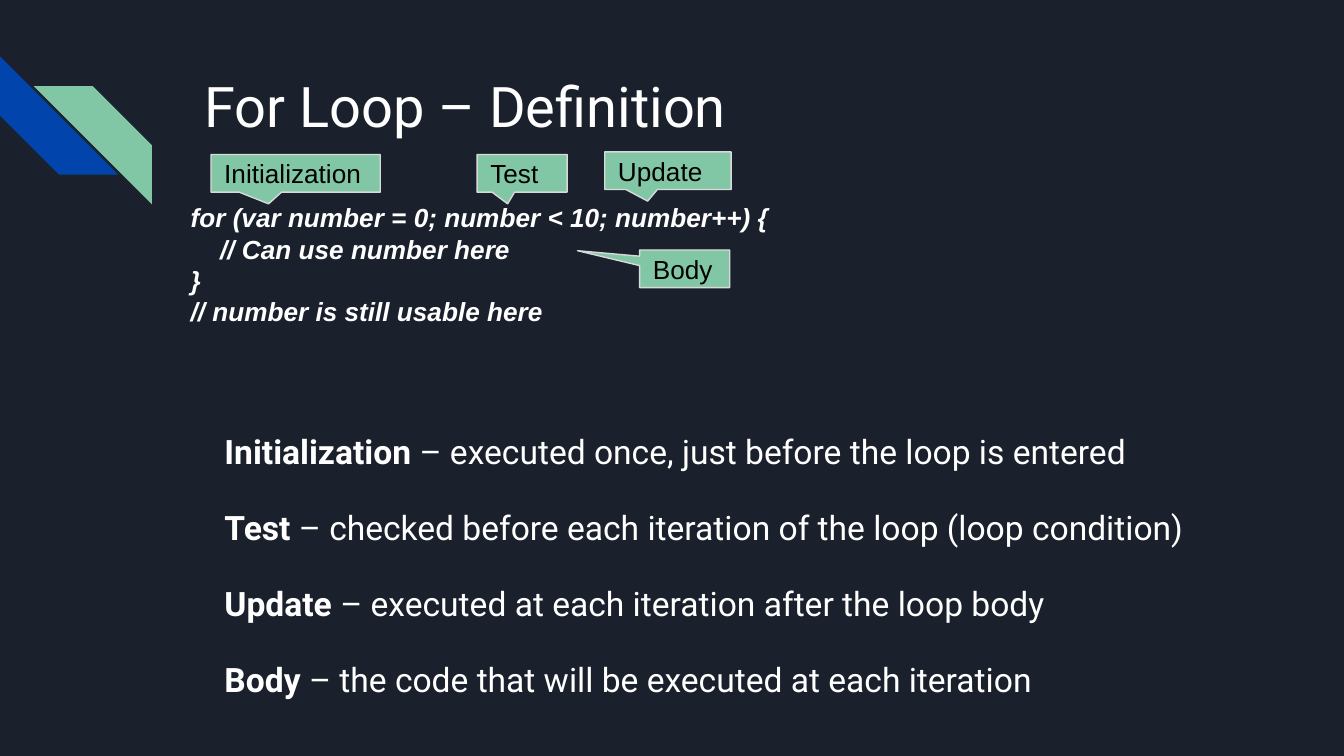
from pptx import Presentation
from pptx.dml.color import RGBColor
from pptx.enum.shapes import MSO_SHAPE
from pptx.enum.text import MSO_ANCHOR, MSO_AUTO_SIZE, PP_ALIGN
from pptx.oxml.ns import qn
from pptx.util import Inches, Pt
from lxml import etree

NAVY = RGBColor(0x1B, 0x21, 0x2C)
BLUE = RGBColor(0x01, 0x45, 0xAC)
GREEN = RGBColor(0x82, 0xC7, 0xA5)
GREY = RGBColor(0xD9, 0xD9, 0xD9)
WHITE = RGBColor(0xFF, 0xFF, 0xFF)
BLACK = RGBColor(0, 0, 0)


def setup_frame(sp, anchor):
    tf = sp.text_frame
    tf.word_wrap = True
    tf.auto_size = MSO_AUTO_SIZE.NONE
    tf.vertical_anchor = anchor
    tf.margin_left = tf.margin_right = Inches(0.1)
    tf.margin_top = tf.margin_bottom = Inches(0.1)
    return tf


def add_run(p, text, font, size, color, bold=False, italic=False):
    p.alignment = PP_ALIGN.LEFT
    r = p.add_run()
    r.text = text
    r.font.name = font
    r.font.size = Pt(size)
    r.font.color.rgb = color
    r.font.bold = bold
    r.font.italic = italic


prs = Presentation()
prs.slide_width = Inches(10)
prs.slide_height = Inches(10) * 9 // 16
s = prs.slides.add_slide(prs.slide_layouts[1])
s.background.fill.solid()
s.background.fill.fore_color.rgb = NAVY

stripes = [(0, 0.42, BLUE, 270, False), (0.25, 0.64, GREEN, 0, True)]
for left, top, color, rotation, flipped in stripes:
    sp = s.shapes.add_shape(MSO_SHAPE.DIAGONAL_STRIPE, Inches(left), Inches(top),
                            Inches(0.88), Inches(0.88))
    sp.adjustments[0] = 0.5
    sp.rotation = rotation
    sp.shadow.inherit = False
    sp.fill.solid()
    sp.fill.fore_color.rgb = color
    sp.line.fill.background()
    if flipped:
        sp._element.spPr.find(qn("a:xfrm")).set("flipH", "1")

title = s.shapes.title
title.left, title.top = Inches(1.42), Inches(0.43)
title.width, title.height = Inches(7.7), Inches(1)
tf = setup_frame(title, MSO_ANCHOR.TOP)
add_run(tf.paragraphs[0], "For Loop – Definition", "Roboto", 30, WHITE)

body = s.placeholders[1]
body.left, body.top = Inches(1.32), Inches(3.06)
body.width, body.height = Inches(8.34), Inches(2.27)
tf = setup_frame(body, MSO_ANCHOR.TOP)
definitions = [
    ("Initialization ", "– executed once, just before the loop is entered"),
    ("Test ", "– checked before each iteration of the loop (loop condition)"),
    ("Update ", "– executed at each iteration after the loop body"),
    ("Body ", "– the code that will be executed at each iteration"),
]
for i, (term, meaning) in enumerate(definitions):
    p = tf.add_paragraph() if i else tf.paragraphs[0]
    p.line_spacing = 1.15
    p.space_before = Pt(16 if i else 0)
    pPr = p._p.get_or_add_pPr()
    pPr.set("marL", str(Inches(0.5)))
    pPr.set("indent", str(Inches(-0.25)))
    etree.SubElement(pPr, qn("a:buNone"))
    add_run(p, term, "Roboto", 18, WHITE, bold=True)
    add_run(p, meaning, "Roboto", 18, WHITE)

code = s.shapes.add_textbox(Inches(1.32), Inches(1.43), Inches(7.48), Inches(1.32))
tf = setup_frame(code, MSO_ANCHOR.TOP)
tf.margin_top = Inches(0.07)
code_lines = [
    ("for (var number = 0; number < 10; number++) {", 0),
    ("// Can use number here", 0.22),
    ("}", 0),
    ("// number is still usable here", 0),
]
for i, (text, indent) in enumerate(code_lines):
    p = tf.add_paragraph() if i else tf.paragraphs[0]
    p._p.get_or_add_pPr().set("marL", str(Inches(indent)))
    add_run(p, text, "Arial", 14, WHITE, bold=True, italic=True)

callouts = [
    ("Initialization", 1.57, 1.15, 1.26, (-0.16, 0.81)),
    ("Test", 3.55, 1.15, 0.67, (-0.16, 0.81)),
    ("Update", 4.5, 1.13, 0.94, (-0.16, 0.81)),
    ("Body", 4.76, 1.86, 0.67, (-1.19, -0.48)),
]
for label, left, top, width, tip in callouts:
    sp = s.shapes.add_shape(MSO_SHAPE.RECTANGULAR_CALLOUT, Inches(left), Inches(top),
                            Inches(width), Inches(0.28))
    sp.adjustments[0], sp.adjustments[1] = tip
    sp.shadow.inherit = False
    sp.fill.solid()
    sp.fill.fore_color.rgb = GREEN
    sp.line.color.rgb = GREY
    sp.line.width = Pt(0.75)
    tf = setup_frame(sp, MSO_ANCHOR.MIDDLE)
    add_run(tf.paragraphs[0], label, "Arial", 14, BLACK)

prs.save("out.pptx")
